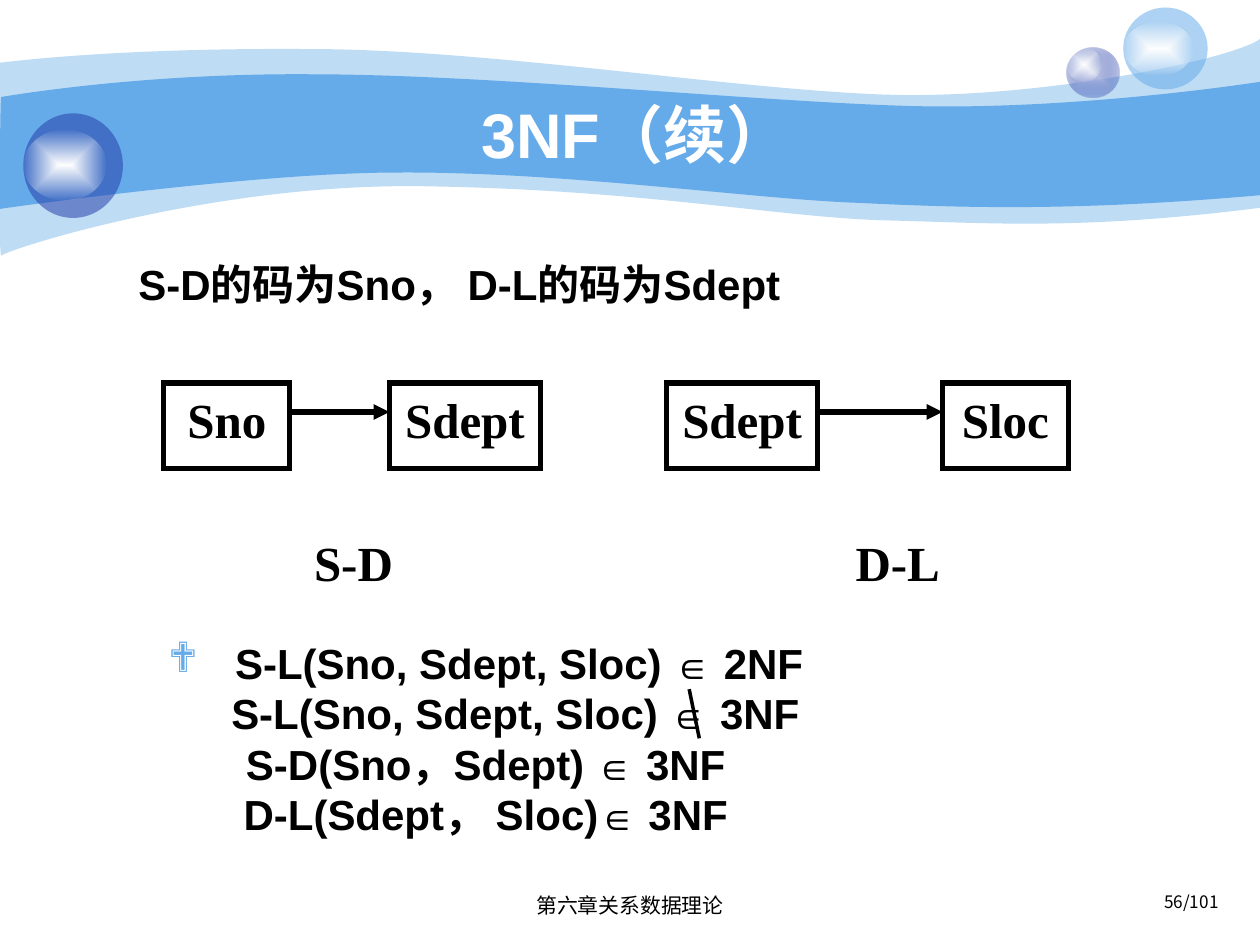
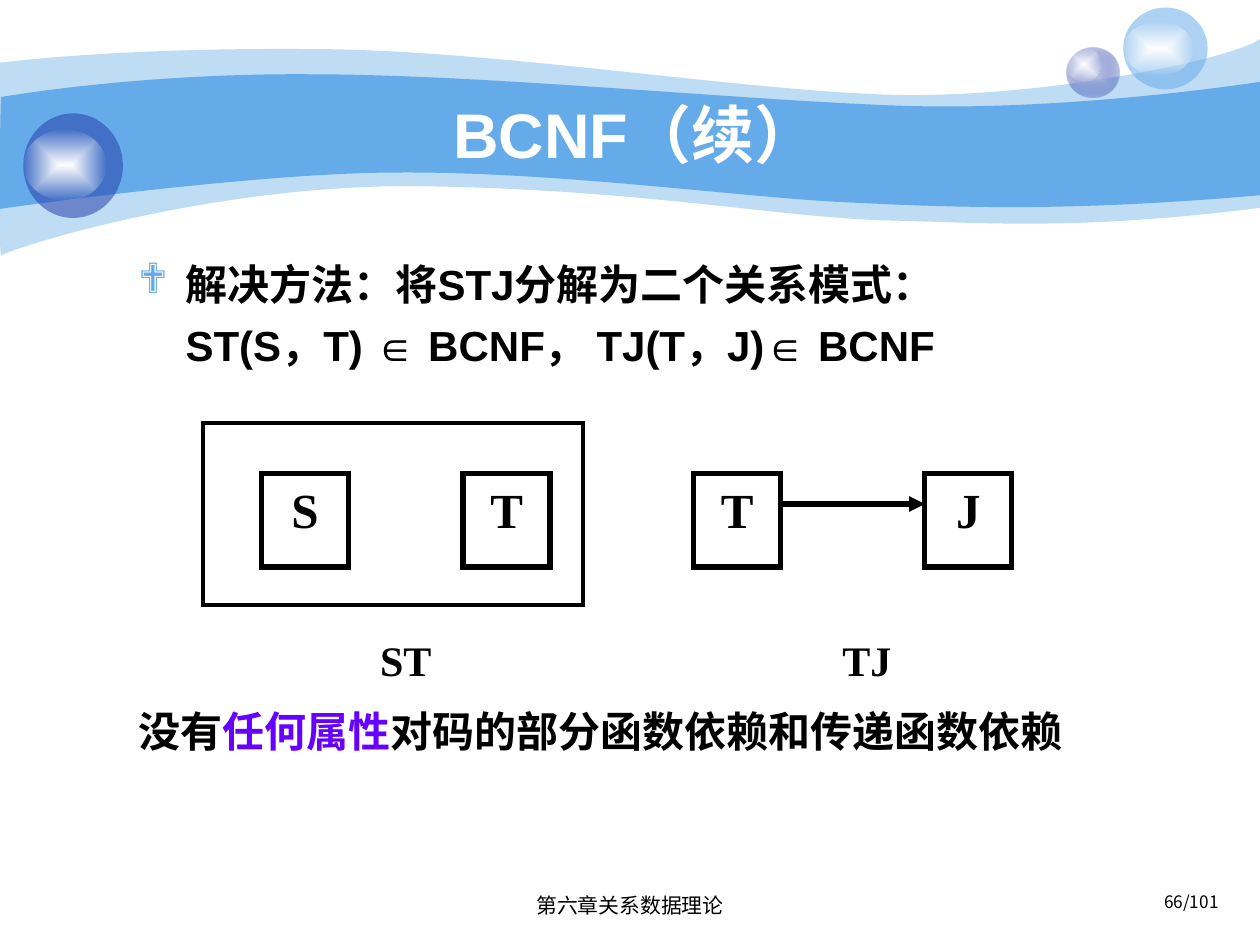
from pptx import Presentation
from pptx import util as u
from pptx.dml.color import RGBColor
from pptx.enum import shapes, text
from pptx.oxml import parse_xml
from pptx.oxml.ns import nsdecls

BLACK = RGBColor(0x00, 0x00, 0x00)
WHITE = RGBColor(0xFF, 0xFF, 0xFF)
SKY = RGBColor(0x65, 0xAA, 0xE9)
NAVY = RGBColor(0x23, 0x3D, 0xA9)
MIST = RGBColor(0xC7, 0xCE, 0xE9)
VIOLET = RGBColor(0x66, 0x00, 0xFF)

SANS, SERIF, CHINESE = "Arial", "Times New Roman", "Noto Sans CJK SC"

presentation = Presentation()
presentation.slide_width = u.Inches(10)
presentation.slide_height = u.Inches(7.5)
# The grid has 100 columns and 75 rows of square cells.
CELL = presentation.slide_width // 100


def paint(shape, *stops):
    """Fill with (colour, opacity %) stops: one is solid, two run from the centre out."""
    shape.shadow.inherit = False
    shape.line.fill.background()
    shape.fill.background()
    colours = [f'<a:srgbClr val="{colour}"><a:alpha val="{opacity * 1000}"/></a:srgbClr>'
               for colour, opacity in stops]
    if len(colours) == 1:
        xml = f'<a:solidFill {nsdecls("a")}>{colours[0]}</a:solidFill>'
    else:
        xml = (f'<a:gradFill {nsdecls("a")} rotWithShape="1"><a:gsLst>'
               f'<a:gs pos="0">{colours[0]}</a:gs><a:gs pos="100000">{colours[1]}</a:gs>'
               '</a:gsLst><a:path path="rect">'
               '<a:fillToRect l="50000" t="50000" r="50000" b="50000"/>'
               '</a:path></a:gradFill>')
    properties = shape._element.spPr
    properties.replace(properties.find("{*}noFill"), parse_xml(xml))


def add_text(slide, paragraphs, box, size=24, font=SANS, color=BLACK, bold=True,
             align="LEFT", anchor="TOP", spacing=None, border=None,
             accents=()):
    """Write (text, margin, bullet indent, space before) paragraphs.

    Each accent (substring, size, colour) restyles the first place it occurs in a paragraph.
    """
    place = [round(value * CELL) for value in box]
    if border:
        shape = slide.shapes.add_shape(shapes.MSO_SHAPE.RECTANGLE, *place)
        shape.shadow.inherit = False
        shape.fill.background()
        shape.line.color.rgb = BLACK
        shape.line.width = u.Pt(border)
        shape.line._get_or_add_ln().append(
            parse_xml(f'<a:miter {nsdecls("a")} lim="800000"/>'))
    else:
        shape = slide.shapes.add_textbox(*place)
    frame = shape.text_frame
    frame.word_wrap = True
    frame.vertical_anchor = text.MSO_ANCHOR[anchor]
    if isinstance(paragraphs, str):
        paragraphs = [(paragraphs, 0, 0, 0)]
    for index, (words, margin, hang, before) in enumerate(paragraphs):
        paragraph = frame.add_paragraph() if index else frame.paragraphs[0]
        paragraph.alignment = text.PP_ALIGN[align]
        if spacing:
            paragraph.line_spacing = spacing
        if before:
            paragraph.space_before = u.Pt(before)
        properties = paragraph._p.get_or_add_pPr()
        properties.set("marL", str(round(margin * CELL)))
        properties.set("indent", str(round(-hang * CELL)))
        if hang:
            for bullet in (f'buClr {nsdecls("a")}><a:srgbClr val="{SKY}"/></a:buClr>',
                           f'buFont {nsdecls("a")} typeface="Wingdings" charset="2"/>',
                           f'buChar {nsdecls("a")} char="❖"/>'):
                properties.append(parse_xml("<a:" + bullet))
        pieces = [(words, size, color)]
        for accent in accents:
            head, special, tail = pieces[-1][0].partition(accent[0])
            if special:
                pieces[-1:] = [(head, size, color), accent, (tail, size, color)]
        for piece, points, ink in pieces:
            if piece:
                run = paragraph.add_run()
                run.text = piece
                run.font.name = font
                run.font.size = u.Pt(points)
                run.font.bold = bold
                run.font.color.rgb = ink
                run._r.get_or_add_rPr().find("{*}latin").addnext(parse_xml(
                    f'<a:ea {nsdecls("a")} typeface="{CHINESE}"/>'))


# Each band: opacity, starting point, then curves (three points) or lines (one point).
BANDS = [
    (41, (-0.1, 5), [
        [(2.3, 4.7), (10.6, 3.8), (24.6, 3.9)], [(38.5, 3.9), (57.4, 7), (69.8, 7.5)],
        [(82.1, 8), (97.9, 4.7), (100, 3.1)], [(100, 16.5)],
        [(85.7, 18.3), (78.6, 17.7), (70.4, 17.5)], [(62.1, 17.3), (51.4, 15.1), (34.2, 14.8)],
        [(17.1, 14.4), (0.3, 19.9), (0.1, 20.3)], [(-0.1, 20.8), (-0.1, 7.5), (-0.1, 5)]]),
    (100, (0.1, 7.7), [
        [(0.2, 7.7), (10.8, 5.8), (24.6, 5.9)], [(38.4, 5.9), (59.3, 8), (71.6, 8.4)],
        [(83.9, 8.8), (97.4, 6.9), (100, 6.5)], [(100, 15.5)],
        [(85.1, 16.8), (76.3, 16.5), (68, 16.1)], [(59.7, 15.8), (44.5, 13.6), (31.5, 13.7)],
        [(20.1, 13.7), (-0.2, 16.6), (-0.1, 16.6)], [(0, 16.6), (0, 7.7), (0.1, 7.7)]]),
]

GLOW = [(WHITE, 100), (WHITE, 0)]
BEADS = [
    ((84.65, 3.75, 4.2, 4), [(MIST, 100), (NAVY, 31)]),
    ((84.65, 3.75, 2.8, 2.7), GLOW),
    ((89.15, 0.6, 6.7, 6.5), [(SKY, 53)]),
    ((89.15, 1.7, 5.6, 4.3), GLOW),
    ((1.85, 9, 7.9, 8.3), [(NAVY, 53)]),
    ((1.85, 10.3, 6.6, 5.6), GLOW),
]

SLIDES = [
    dict(
        title="3NF（续）", page="56/101",
        texts=[
            dict(paragraphs=[("S-D的码为Sno， D-L的码为Sdept", 5, 0, 0)], box=(5, 20, 90, 49.2)),
            dict(paragraphs=[("S-L(Sno, Sdept, Sloc) ∈ 2NF", 5.3, 5.3, 0),
                             ("S-L(Sno, Sdept, Sloc) ∈ 3NF", 4.7, 0, 0),
                             ("S-D(Sno，Sdept) ∈ 3NF", 0, 0, 0),
                             ("D-L(Sdept， Sloc)∈ 3NF", 0, 0, 0)],
                 box=(9.8, 50.1, 57.5, 17), align="CENTER", accents=[("∈", 22, BLACK)]),
        ],
        box_top=30.4, box_height=6.8,
        boxes=[("Sno", 13, 10), ("Sdept", 30.9, 12), ("Sdept", 52.9, 12), ("Sloc", 74.8, 10)],
        labels=[("S-D", 23, 10.1), ("D-L", 66.8, 8.9)], label_top=41.75, label_size=28,
        lines=[(23, 32.7, 30.9, 32.7, 3), (64.9, 32.7, 74.8, 32.7, 3),
               (54.7, 54.7, 55.5, 58.6, 2)],
        frames=[]),
    dict(
        title="BCNF（续）", page="66/101",
        texts=[
            dict(paragraphs=[("解决方法：将STJ分解为二个关系模式：", 3.75, 3.75, 0),
                             ("ST(S，T) ∈ BCNF， TJ(T，J)∈ BCNF", 3.75, 0, 6),
                             ("没有任何属性对码的部分函数依赖和传递函数依赖", 0, 0, 192)],
                 box=(10, 20, 85, 45), accents=[("任何属性", 24, VIOLET)]),
        ],
        box_top=37.6, box_height=7.4,
        boxes=[("S", 20.75, 6.9), ("T", 36.75, 6.9), ("T", 55.05, 6.9), ("J", 73.4, 6.9)],
        labels=[("ST", 27.65, 9.1), ("TJ", 64.25, 9.1)], label_top=49.9, label_size=24,
        lines=[(61.9, 40, 73.4, 40, 3)],
        frames=[(16.1, 33.6, 30.2, 14.45)]),
]

for content in SLIDES:
    slide = presentation.slides.add_slide(presentation.slide_layouts[6])

    for opacity, start, segments in BANDS:
        builder = slide.shapes.build_freeform(*[value * CELL for value in start])
        for segment in segments:
            builder.add_line_segments([(x * CELL, y * CELL) for x, y in segment], close=False)
        band = builder.convert_to_shape()
        outline = band._element.spPr.find(".//{*}pathLst")[0]
        corners = iter(outline.findall("{*}lnTo"))
        for segment in segments:
            steps = [next(corners) for point in segment]
            if len(steps) == 3:
                curve = parse_xml(f'<a:cubicBezTo {nsdecls("a")}/>')
                steps[0].addprevious(curve)
                for step in steps:
                    curve.append(step[0])
                    outline.remove(step)
        outline.append(parse_xml(f'<a:close {nsdecls("a")}/>'))
        paint(band, (SKY, opacity))

    for box, stops in BEADS:
        place = [round(value * CELL) for value in box]
        paint(slide.shapes.add_shape(shapes.MSO_SHAPE.OVAL, *place), *stops)

    add_text(slide, content["page"], (74.4, 70.6, 23.3, 2.9), size=9.8, font=CHINESE,
             bold=False, align="RIGHT", spacing=0.8)
    add_text(slide, "第六章关系数据理论", (34.15, 70.6, 31.7, 3.2), size=11.9,
             bold=False, align="CENTER", spacing=0.9)
    add_text(slide, content["title"], (10, 7.5, 80.8, 6.2), size=36, color=WHITE,
             align="CENTER", anchor="MIDDLE")

    for block in content["texts"]:
        add_text(slide, **block)
    for name, left, width in content["boxes"]:
        add_text(slide, name, (left, content["box_top"], width, content["box_height"]),
                 size=28, font=SERIF, align="CENTER", border=3)
    for name, left, width in content["labels"]:
        add_text(slide, name, (left, content["label_top"], width, content["box_height"]),
                 size=content["label_size"], font=SERIF, align="CENTER")
    for box in content["frames"]:
        add_text(slide, "", box, border=2.25)

    for *ends, weight in content["lines"]:
        connector = slide.shapes.add_connector(
            shapes.MSO_CONNECTOR.STRAIGHT, *[round(value * CELL) for value in ends])
        connector.line.color.rgb = BLACK
        connector.line.width = u.Pt(weight)
        if ends[1] == ends[3]:
            connector.line._get_or_add_ln().append(
                parse_xml(f'<a:tailEnd {nsdecls("a")} type="triangle"/>'))
        connector._element.spPr.append(parse_xml(f'<a:effectLst {nsdecls("a")}/>'))

presentation.save("out.pptx")
